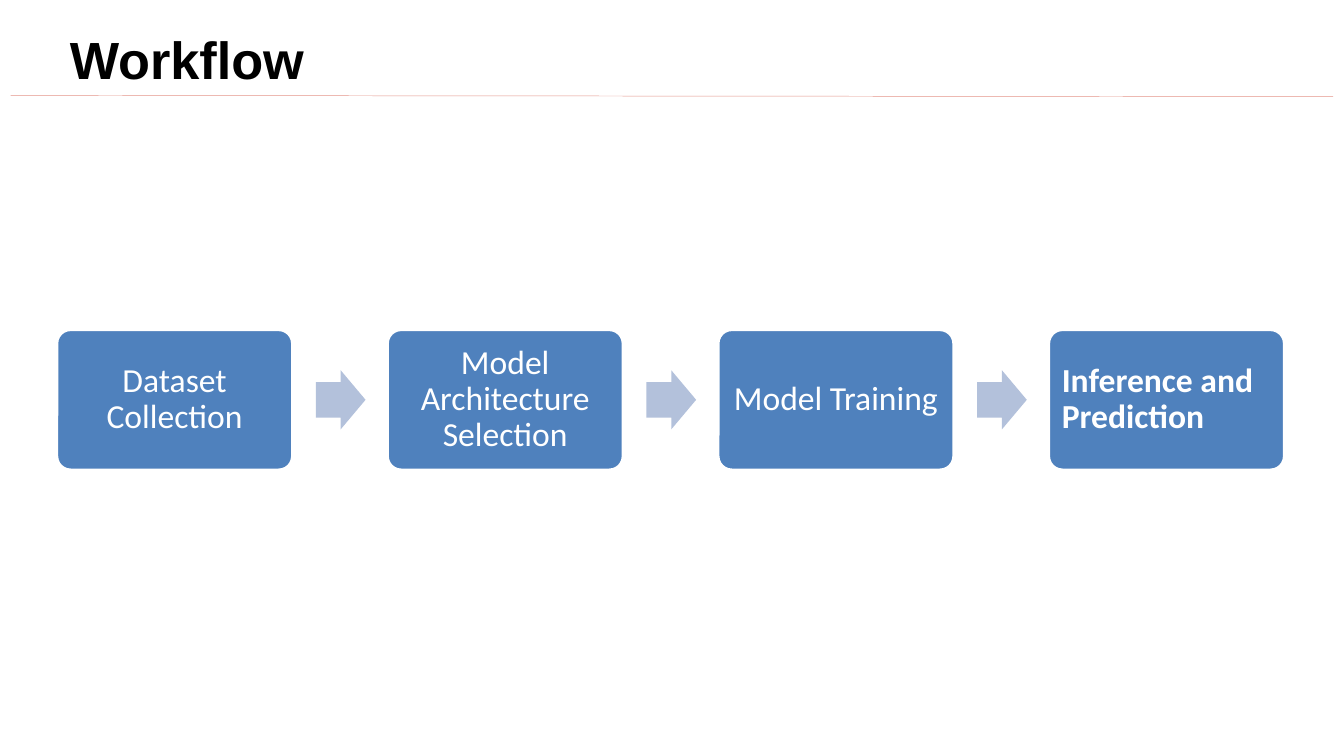
from lxml import etree
from pptx import Presentation
from pptx.dml.color import RGBColor
from pptx.enum.shapes import MSO_CONNECTOR, MSO_SHAPE
from pptx.enum.text import MSO_ANCHOR, PP_ALIGN
from pptx.oxml.ns import qn
from pptx.util import Inches, Pt

STRAIGHT = MSO_CONNECTOR.STRAIGHT
ROUNDED = MSO_SHAPE.ROUNDED_RECTANGLE
ARROW = MSO_SHAPE.RIGHT_ARROW
LEFT, CENTER = PP_ALIGN.LEFT, PP_ALIGN.CENTER
TOP, MIDDLE = MSO_ANCHOR.TOP, MSO_ANCHOR.MIDDLE

BLACK = RGBColor(0x00, 0x00, 0x00)
WHITE = RGBColor(0xFF, 0xFF, 0xFF)
BLUE = RGBColor(0x4F, 0x81, 0xBD)
PALE_BLUE = RGBColor(0xB3, 0xC1, 0xDB)
ROSE = RGBColor(0xE4, 0x94, 0x8A)

TITLE = "Workflow"
STEPS = [
    ("Dataset Collection", CENTER, False),
    ("Model Architecture Selection", CENTER, False),
    ("Model Training", CENTER, False),
    ("Inference and Prediction", LEFT, True),
]

SLIDE_WIDTH = Inches(10)
SLIDE_HEIGHT = SLIDE_WIDTH * 9 // 16
STEP_LEFT, STEP_TOP, STEP_PITCH = 0.42, 2.45, 2.46
STEP_WIDTH, STEP_HEIGHT = 1.76, 1.05
ARROW_GAP, ARROW_WIDTH, ARROW_HEIGHT = 0.17, 0.37, 0.44
INSET = 0.07


def set_font(paragraph, name, size, color, bold):
    font = paragraph.font
    font.name, font.size, font.bold = name, Pt(size), bold
    font.color.rgb = color


def add_filled(slide, kind, box, color, adjustments):
    shape = slide.shapes.add_shape(kind, *map(Inches, box))
    shape.shadow.inherit = False
    shape.fill.solid()
    shape.fill.fore_color.rgb = color
    for index, value in enumerate(adjustments):
        shape.adjustments[index] = value
    return shape


def add_title(slide):
    title = slide.shapes.title
    title.left, title.top = Inches(0.42), Inches(0.15)
    title.width, title.height = Inches(1.96), Inches(0.57)
    frame = title.text_frame
    frame.text = TITLE
    frame.word_wrap = False
    frame.vertical_anchor = TOP
    heading = frame.paragraphs[0]
    heading.alignment = LEFT
    set_font(heading, "Arial", 28, BLACK, True)


def add_rule(slide):
    ends = map(Inches, (0.08, 0.71, 9.92, 0.72))
    rule = slide.shapes.add_connector(STRAIGHT, *ends)
    rule.line.color.rgb = ROSE
    rule.line.width = Pt(0.25)
    etree.SubElement(rule._element.spPr, qn("a:effectLst"))


def add_step(slide, left, label, alignment, bold):
    box = (left, STEP_TOP, STEP_WIDTH, STEP_HEIGHT)
    step = add_filled(slide, ROUNDED, box, BLUE, [0.1])
    step.line.color.rgb = WHITE
    step.line.width = Pt(2)
    frame = step.text_frame
    frame.text = label
    frame.word_wrap = True
    frame.vertical_anchor = MIDDLE
    frame.margin_left = frame.margin_right = Inches(INSET)
    frame.margin_top = frame.margin_bottom = Inches(INSET)
    paragraph = frame.paragraphs[0]
    paragraph.alignment = alignment
    paragraph.line_spacing = 0.9
    set_font(paragraph, "Calibri", 18, WHITE, bold)


def add_arrow(slide, left):
    top = STEP_TOP + (STEP_HEIGHT - ARROW_HEIGHT) / 2
    box = (left, top, ARROW_WIDTH, ARROW_HEIGHT)
    arrow = add_filled(slide, ARROW, box, PALE_BLUE, [0.6, 0.5])
    arrow.line.fill.background()


def main():
    deck = Presentation()
    deck.slide_width, deck.slide_height = SLIDE_WIDTH, SLIDE_HEIGHT
    slide = deck.slides.add_slide(deck.slide_layouts[5])
    add_rule(slide)
    add_title(slide)
    for index, (label, alignment, bold) in enumerate(STEPS):
        left = STEP_LEFT + index * STEP_PITCH
        add_step(slide, left, label, alignment, bold)
        if index < len(STEPS) - 1:
            add_arrow(slide, left + STEP_WIDTH + ARROW_GAP)
    deck.save("out.pptx")


if __name__ == "__main__":
    main()
